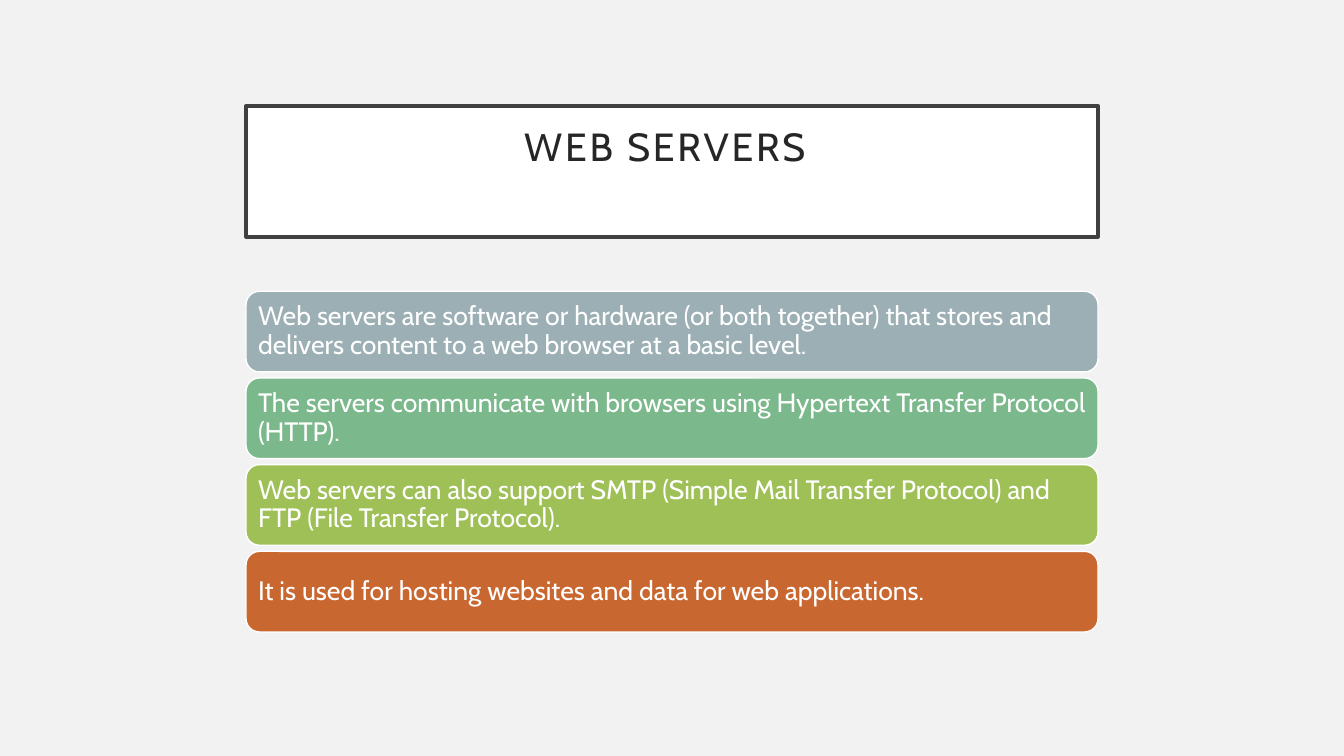
from pptx import Presentation
from pptx.dml.color import RGBColor
from pptx.enum.shapes import MSO_SHAPE
from pptx.enum.text import MSO_ANCHOR, MSO_AUTO_SIZE, PP_ALIGN
from pptx.util import Inches, Pt

ROUNDED = MSO_SHAPE.ROUNDED_RECTANGLE
TOP, MIDDLE = MSO_ANCHOR.TOP, MSO_ANCHOR.MIDDLE
LEFT, CENTER = PP_ALIGN.LEFT, PP_ALIGN.CENTER
NO_AUTOFIT = MSO_AUTO_SIZE.NONE
TITLE_ONLY = 5

FONT = "Cabin"
COLORS = {
    "page": "F2F2F2", "white": "FFFFFF", "frame": "404040", "ink": "262626",
    "slate": "9BAFB5", "green": "7BB88C", "lime": "9FC057", "rust": "C96731",
}
PAGE_WIDTH, PAGE_HEIGHT = 13.33, 7.5
COLUMN_LEFT, COLUMN_WIDTH = 2.44, 8.45
BAR_GAP = 0.06

FACTS = [
    ("slate", "Web servers are software or hardware (or both together) that stores "
              "and delivers content to a web browser at a basic level."),
    ("green", "The servers communicate with browsers using Hypertext Transfer "
              "Protocol (HTTP)."),
    ("lime", "Web servers can also support SMTP (Simple Mail Transfer Protocol) "
             "and FTP (File Transfer Protocol)."),
    ("rust", "It is used for hosting websites and data for web applications."),
]


def color(name):
    return RGBColor.from_string(COLORS[name])


def paint(shape, fill, line, width):
    shape.fill.solid()
    shape.fill.fore_color.rgb = color(fill)
    shape.line.color.rgb = color(line)
    shape.line.width = Pt(width)


def write(shape, text, *, size, ink, align, anchor, insets, tracking=0):
    """Insets run left, top, right, bottom in inches; tracking is in points."""
    frame = shape.text_frame
    frame.word_wrap = True
    frame.auto_size = NO_AUTOFIT
    frame.vertical_anchor = anchor
    (frame.margin_left, frame.margin_top,
     frame.margin_right, frame.margin_bottom) = map(Inches, insets)
    para = frame.paragraphs[0]
    para.alignment = align
    para.line_spacing = 0.9
    span = para.add_run()
    span.text = text
    span.font.name = FONT
    span.font.size = Pt(size)
    span.font.color.rgb = color(ink)
    if tracking:
        span.font._element.set("spc", str(tracking * 100))


def place_title(page, text, box):
    title = page.shapes.title
    title.left, title.top, title.width, title.height = map(Inches, box)
    paint(title, "white", "frame", 2.5)
    write(title, text, size=28, ink="ink", align=CENTER, anchor=TOP,
          insets=(0.2, 0.22, 0.34, 0.2), tracking=2)


def place_bars(page, facts, box):
    """Stack one equal bar per fact down the box."""
    left, top, width, height = box
    bar_height = (height - BAR_GAP * (len(facts) - 1)) / len(facts)
    for row, (fill, text) in enumerate(facts):
        bar_top = top + row * (bar_height + BAR_GAP)
        bar = page.shapes.add_shape(
            ROUNDED, *map(Inches, (left, bar_top, width, bar_height)))
        bar.shadow.inherit = False
        paint(bar, fill, "white", 1)
        write(bar, text, size=19, ink="white", align=LEFT, anchor=MIDDLE,
              insets=(0.08, 0.08, 0.03, 0.08))


def main():
    deck = Presentation()
    deck.slide_width, deck.slide_height = Inches(PAGE_WIDTH), Inches(PAGE_HEIGHT)
    page = deck.slides.add_slide(deck.slide_layouts[TITLE_ONLY])
    page.background.fill.solid()
    page.background.fill.fore_color.rgb = color("page")
    place_title(page, "WEB SERVERS", (COLUMN_LEFT, 1.05, COLUMN_WIDTH, 1.3))
    place_bars(page, FACTS, (COLUMN_LEFT, 2.89, COLUMN_WIDTH, 3.38))
    deck.save("out.pptx")


if __name__ == "__main__":
    main()
